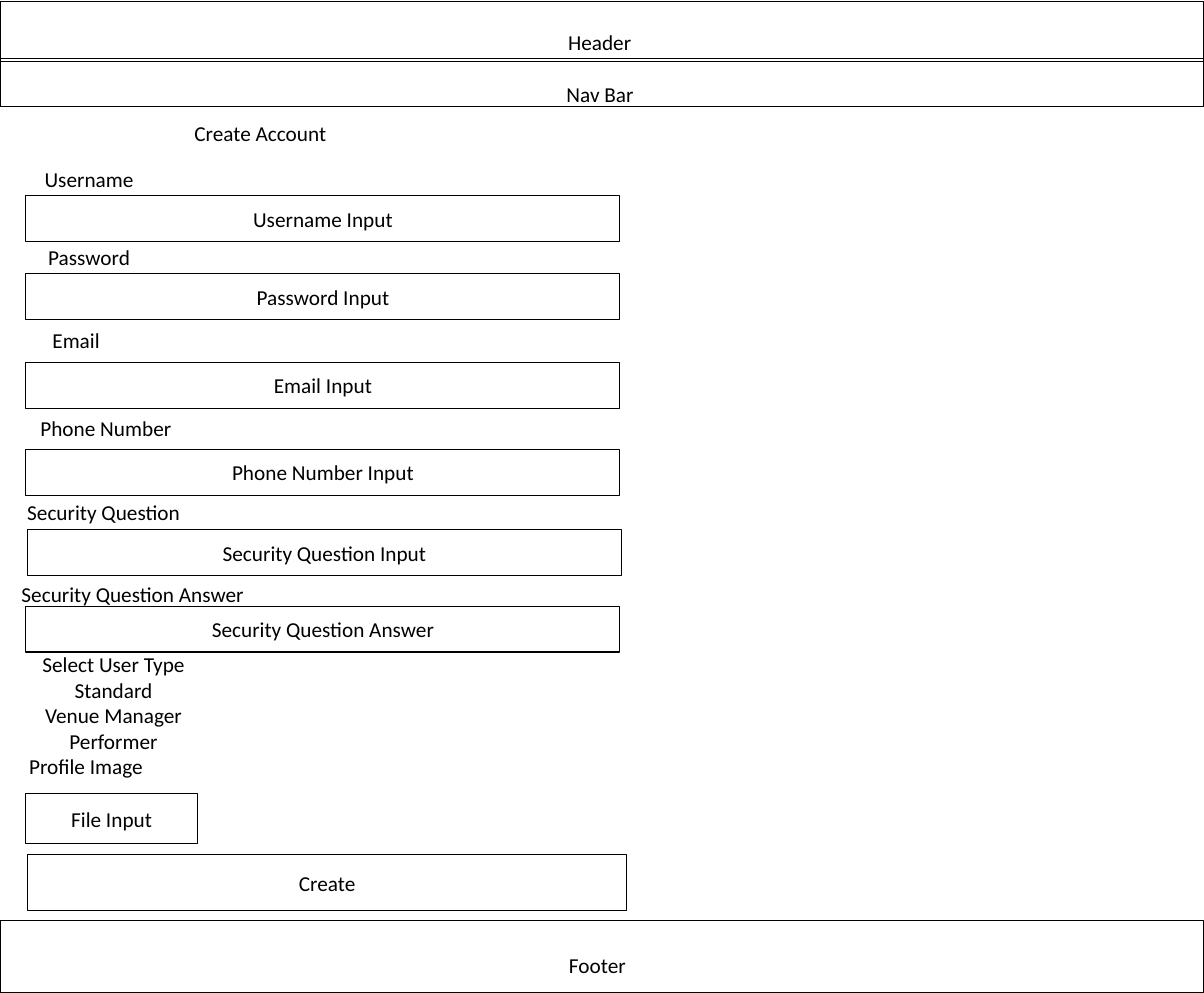
from lxml import etree
from pptx import Presentation
from pptx.dml.color import RGBColor
from pptx.enum.shapes import MSO_SHAPE
from pptx.enum.text import MSO_ANCHOR, MSO_AUTO_SIZE, PP_ALIGN
from pptx.oxml.ns import qn
from pptx.util import Inches, Pt

RECT = MSO_SHAPE.RECTANGLE
TOP, MIDDLE = MSO_ANCHOR.TOP, MSO_ANCHOR.MIDDLE
NO_FIT = MSO_AUTO_SIZE.NONE
CENTER = PP_ALIGN.CENTER

WIDE, HIGH = 15.75, 12.99
COLORS = {"ink": "000000"}
FONT = {"name": "Calibri", "size": Pt(20), "bold": False}
PARA = {"alignment": CENTER, "space_before": Pt(0), "space_after": Pt(0)}
LEFT = 0.34         # left edge of the form
FIELD = 7.77, 0.6   # size of an input
LABEL = 4.49, 0.44  # size of a label

# Top, height, caption left, top and width
BANDS = {
    "Header": (0.02, 0.79, 5.36, 0.33, 4.97),
    "Nav Bar": (0.77, 0.63, 5.02, 1.01, 5.66),
    "Footer": (12.04, 0.94, 5.98, 12.41, 3.67),
}
# Label, label left and top, input text, input left and top
FIELDS = [
    ("Username", -1.08, 2.12, "Username Input", LEFT, 2.56),
    ("Password", -1.08, 3.14, "Password Input", LEFT, 3.58),
    ("Email", -1.25, 4.23, "Email Input", LEFT, 4.74),
    ("Phone Number", -0.86, 5.38, "Phone Number Input", LEFT, 5.88),
    ("Security Question", -0.89, 6.48, "Security Question Input", 0.36, 6.93),
    ("Security Question Answer", -0.51, 7.55,
     "Security Question Answer", LEFT, 7.93),
]
TYPES = ["Select User Type", "Standard", "Venue Manager", "Performer"]


def apply(item, values):
    for key, value in values.items():
        setattr(item, key, value)


def ink():
    return RGBColor.from_string(COLORS["ink"])


def write(shape, lines, anchor=TOP):
    frame = shape.text_frame
    frame.text = "\n".join(lines)
    apply(frame, {"word_wrap": True, "auto_size": NO_FIT,
                  "vertical_anchor": anchor})
    for para in frame.paragraphs:
        apply(para, PARA)
        apply(para.font, FONT)
        para.font.color.rgb = ink()


def box(slide, left, top, width, height, text=None):
    shape = slide.shapes.add_shape(RECT, *map(Inches, (left, top, width, height)))
    shape.shadow.inherit = False
    shape.fill.background()
    shape.line.color.rgb = ink()
    shape.line.width = Pt(1)
    if text:
        write(shape, [text], MIDDLE)


def label(slide, text, left, top, width=LABEL[0]):
    area = map(Inches, (left, top, width, LABEL[1]))
    write(slide.shapes.add_textbox(*area), [text])


def fill(holder, lines, left, top, width, height):
    apply(holder, {"left": Inches(left), "top": Inches(top),
                   "width": Inches(width), "height": Inches(height)})
    write(holder, lines)


def plain(holder):
    """Take bullets and indents off a list."""
    for para in holder.text_frame.paragraphs:
        props = para._p.get_or_add_pPr()
        props.set("marL", "0")
        props.set("indent", "0")
        etree.SubElement(props, qn("a:buNone"))


def main():
    deck = Presentation()
    deck.slide_width, deck.slide_height = Inches(WIDE), Inches(HIGH)
    slide = deck.slides.add_slide(deck.slide_layouts[1])
    title, body = slide.placeholders

    # Page bands
    for text, (top, height, left, line, width) in BANDS.items():
        box(slide, 0, top, WIDE, height)
        label(slide, text, left, line, width)

    # Form heading and fields
    fill(title, ["Create Account"], 1, 1.52, 4.81, LABEL[1])
    for name, x, y, hint, left, top in FIELDS:
        label(slide, name, x, y)
        box(slide, left, top, *FIELD, hint)

    # User types
    fill(body, TYPES, -0.76, 8.47, LABEL[0], 1.45)
    plain(body)

    # Profile image and button
    label(slide, "Profile Image", -1.12, 9.81)
    box(slide, LEFT, 10.38, 2.24, 0.66, "File Input")
    box(slide, 0.36, 11.18, 7.84, 0.73, "Create")

    deck.save("out.pptx")


main()
